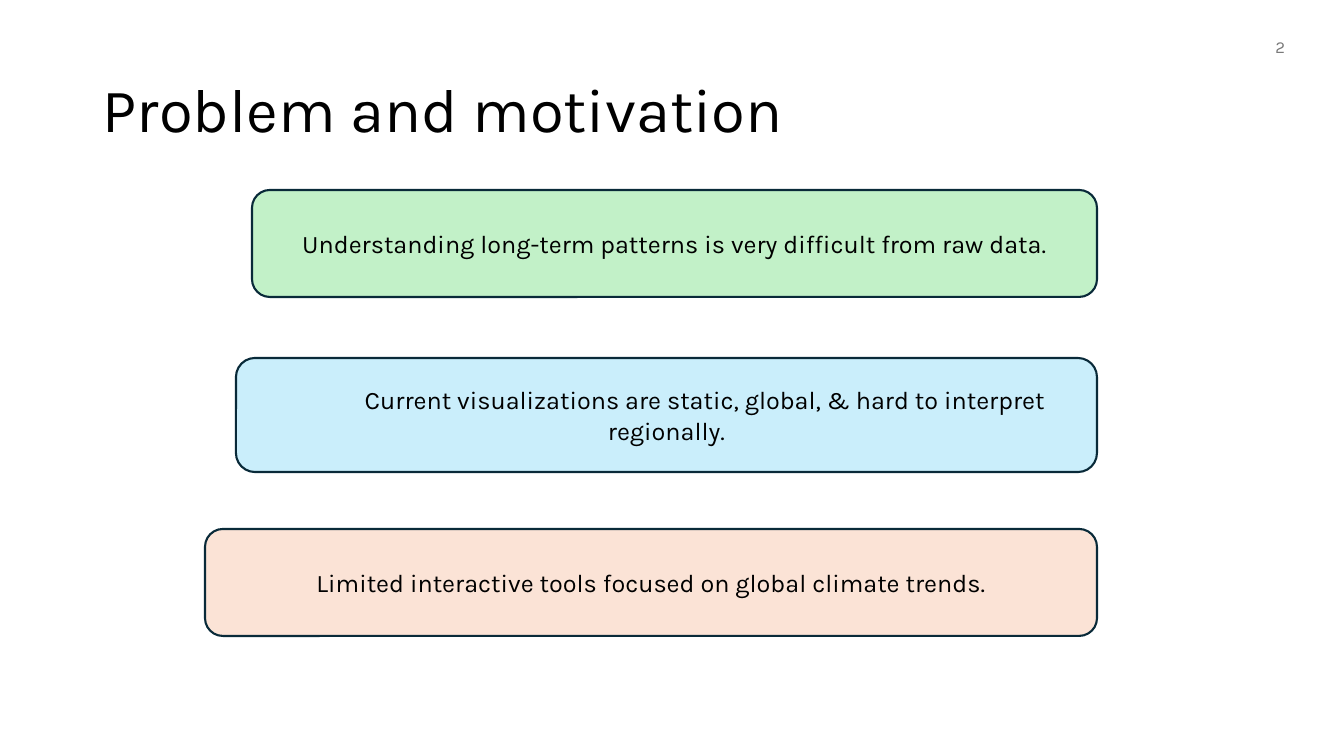
from pptx import Presentation
from pptx.dml.color import RGBColor
from pptx.enum.shapes import MSO_SHAPE
from pptx.enum.text import MSO_ANCHOR, PP_ALIGN
from pptx.util import Pt

ROUND = MSO_SHAPE.ROUNDED_RECTANGLE
MIDDLE = MSO_ANCHOR.MIDDLE
LEFT, CENTER, RIGHT = PP_ALIGN.LEFT, PP_ALIGN.CENTER, PP_ALIGN.RIGHT

# Content
TITLE = "Problem and motivation"
NUMBER = "2"
# text, fill, left, top, height, first-line indent (px)
CARDS = [
    ("Understanding long-term patterns is very difficult from raw data.",
     "green", 252, 190, 107, 0),
    ("Current visualizations are static, global, & hard to interpret regionally.",
     "blue", 236, 358, 114, 77),
    ("Limited interactive tools focused on global climate trends.",
     "peach", 205, 529, 107, 0),
]
EDGE = 1097  # shared right edge of the cards

THEME = {
    "font": "Karla",
    "ink": "000000", "gray": "797979", "line": "092A39",
    "green": "C2F1C8", "blue": "CAEEFB", "peach": "FBE3D6",
    "title": 44, "body": 18, "small": 12, "stroke": 1.5,
}


def px(n):
    return round(n * 914400 / 100.8)


def color(name):
    return RGBColor.from_string(THEME[name])


def write(shape, text, size="body", ink="ink", align=LEFT, space=1.0, indent=0):
    frame = shape.text_frame
    frame.word_wrap = True
    frame.vertical_anchor = MIDDLE
    para = frame.paragraphs[0]
    para.alignment = align
    para.line_spacing = space
    if indent:
        para._p.get_or_add_pPr().set("indent", str(px(indent)))
    run = para.add_run()
    run.text = text
    run.font.name = THEME["font"]
    run.font.size = Pt(THEME[size])
    run.font.color.rgb = color(ink)


def main():
    deck = Presentation()
    deck.slide_width, deck.slide_height = px(1344), px(756)
    slide = deck.slides.add_slide(deck.slide_layouts[6])
    shapes = slide.shapes

    # Title and slide number
    head = shapes.add_textbox(px(93), px(40), px(1159), px(146))
    write(head, TITLE, size="title", space=0.9)
    page = shapes.add_textbox(px(993), px(27), px(302), px(40))
    write(page, NUMBER, size="small", ink="gray", align=RIGHT)

    # Cards
    for text, fill, left, top, height, indent in CARDS:
        card = shapes.add_shape(ROUND, px(left), px(top), px(EDGE - left), px(height))
        card.shadow.inherit = False
        card.fill.solid()
        card.fill.fore_color.rgb = color(fill)
        card.line.color.rgb = color("line")
        card.line.width = Pt(THEME["stroke"])
        write(card, text, align=CENTER, indent=indent)

    deck.save("out.pptx")


if __name__ == "__main__":
    main()
